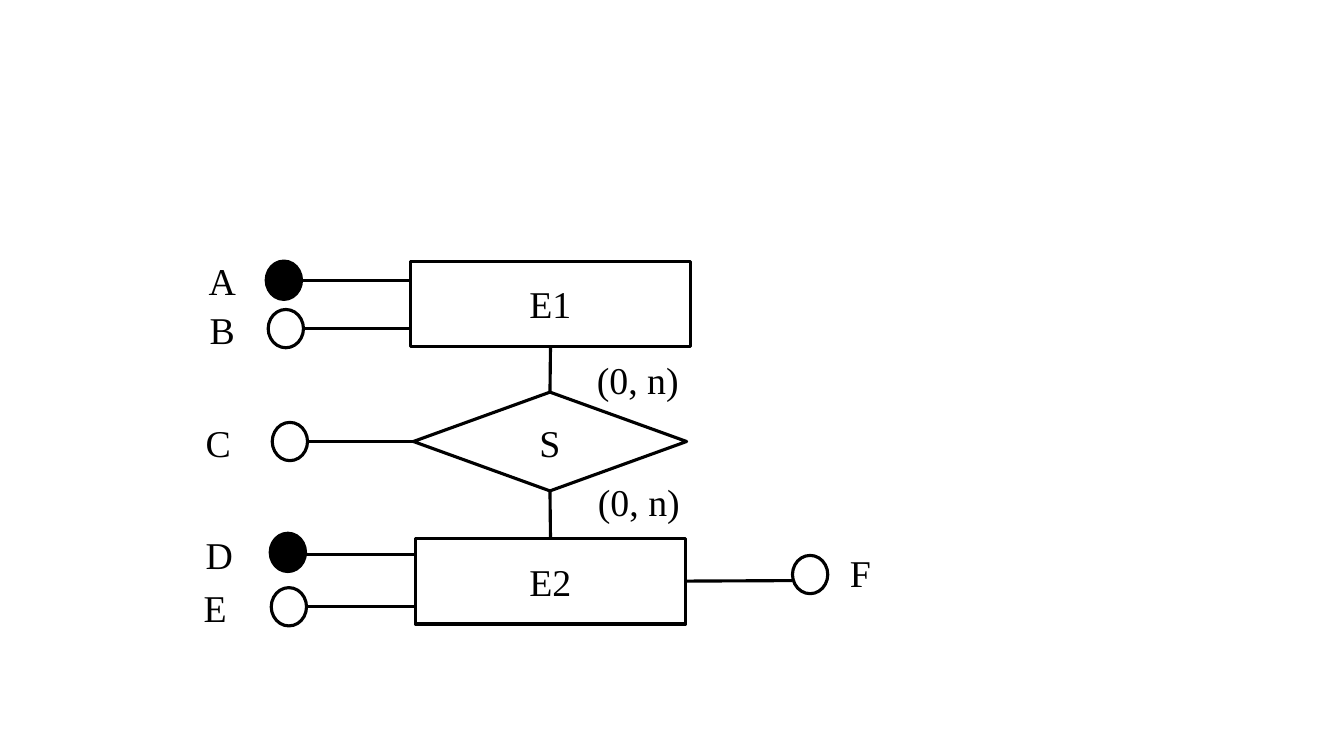
from dataclasses import dataclass

from lxml import etree
from pptx import Presentation
from pptx.dml.color import RGBColor
from pptx.enum.shapes import MSO_CONNECTOR, MSO_SHAPE
from pptx.enum.text import MSO_AUTO_SIZE
from pptx.oxml.ns import qn
from pptx.shapes.autoshape import Shape
from pptx.shapes.connector import Connector
from pptx.slide import Slide
from pptx.util import Inches, Pt

PROCESS = MSO_SHAPE.FLOWCHART_PROCESS
DECISION = MSO_SHAPE.FLOWCHART_DECISION
CIRCLE = MSO_SHAPE.FLOWCHART_CONNECTOR
STRAIGHT = MSO_CONNECTOR.STRAIGHT
FIT_SHAPE = MSO_AUTO_SIZE.SHAPE_TO_FIT_TEXT
TOP, LEFT, BOTTOM, RIGHT = range(4)

BLACK = "000000"
FONT = "Times New Roman"
CIRCLE_WIDTH, CIRCLE_HEIGHT = 0.35, 0.38
LABEL_HEIGHT = 0.57


@dataclass(frozen=True)
class Label:
    text: str
    left: float
    top: float
    width: float


@dataclass(frozen=True)
class Node:
    kind: MSO_SHAPE
    left: float
    top: float
    width: float
    height: float
    label: Label


@dataclass(frozen=True)
class Attribute:
    owner: str
    label: Label
    left: float
    top: float
    line_y: float
    is_key: bool = False
    side: int = LEFT
    at_middle: bool = False


NODES = [
    Node(DECISION, 4.1, 3.89, 2.71, 0.98, Label("S", 5.24, 4.1, 0.43)),
    Node(PROCESS, 4.07, 2.59, 2.78, 0.85, Label("E1", 5.14, 2.73, 0.64)),
    Node(PROCESS, 4.12, 5.34, 2.68, 0.85, Label("E2", 5.14, 5.48, 0.64)),
]
ATTRIBUTES = [
    Attribute("E1", Label("A", 1.96, 2.5, 0.5), 2.64, 2.59, 2.78, is_key=True),
    Attribute("E1", Label("B", 1.97, 2.98, 0.48), 2.66, 3.07, 3.26),
    Attribute("S", Label("C", 1.93, 4.1, 0.48), 2.7, 4.19, 4.38, at_middle=True),
    Attribute("E2", Label("D", 1.93, 5.22, 0.5), 2.68, 5.29, 5.5, is_key=True),
    Attribute("E2", Label("E", 1.91, 5.74, 0.46), 2.69, 5.83, 6.02),
    Attribute("E2", Label("F", 8.32, 5.39, 0.43), 7.86, 5.51, 5.76,
              side=RIGHT, at_middle=True),
]
CARDINALITIES = [
    Label("(0, n)", 5.81, 3.48, 1.04),
    Label("(0, n)", 5.82, 4.69, 1.04),
]
# Upper node, lower node
LINKS = [("E1", "S"), ("S", "E2")]


def color(value: str) -> RGBColor:
    return RGBColor.from_string(value)


def add_outline(page: Slide, kind: MSO_SHAPE, left: float, top: float,
                width: float, height: float, filled: bool = False) -> Shape:
    shape = page.shapes.add_shape(
        kind, Inches(left), Inches(top), Inches(width), Inches(height))
    shape.shadow.inherit = False
    if filled:
        shape.fill.solid()
        shape.fill.fore_color.rgb = color(BLACK)
    else:
        shape.fill.background()
    shape.line.color.rgb = color(BLACK)
    shape.line.width = Pt(2.25)
    return shape


def add_label(page: Slide, label: Label) -> None:
    box = page.shapes.add_textbox(
        Inches(label.left), Inches(label.top),
        Inches(label.width), Inches(LABEL_HEIGHT))
    frame = box.text_frame
    frame.word_wrap = False
    frame.auto_size = FIT_SHAPE
    frame.margin_left = frame.margin_right = Inches(0.11)
    frame.margin_top = frame.margin_bottom = Inches(0.06)
    span = frame.paragraphs[0].add_run()
    span.text = label.text
    span.font.name = FONT
    span.font.size = Pt(27)
    span.font.color.rgb = color(BLACK)


def add_line(page: Slide, x1: float, y1: float, x2: float, y2: float) -> Connector:
    line = page.shapes.add_connector(
        STRAIGHT, Inches(x1), Inches(y1), Inches(x2), Inches(y2))
    line.line.color.rgb = color(BLACK)
    line.line.width = Pt(2.25)
    etree.SubElement(line._element.spPr, qn("a:effectLst"))
    return line


def add_attribute(page: Slide, attribute: Attribute, node: Node, shape: Shape) -> None:
    add_outline(page, CIRCLE, attribute.left, attribute.top,
                CIRCLE_WIDTH, CIRCLE_HEIGHT, attribute.is_key)
    if attribute.side == LEFT:
        circle_x, node_x = attribute.left + CIRCLE_WIDTH, node.left
    else:
        circle_x, node_x = attribute.left, node.left + node.width
    line = add_line(page, circle_x, attribute.line_y, node_x, attribute.line_y)
    if attribute.at_middle:
        line.end_connect(shape, attribute.side)
    add_label(page, attribute.label)


def main() -> None:
    deck = Presentation()
    deck.slide_width, deck.slide_height = Inches(13.33), Inches(7.5)
    page = deck.slides.add_slide(deck.slide_layouts[6])

    # Entities and the relationship between them
    nodes = {node.label.text: node for node in NODES}
    shapes = {}
    for name, node in nodes.items():
        shapes[name] = add_outline(
            page, node.kind, node.left, node.top, node.width, node.height)
        add_label(page, node.label)

    # Vertical links with their cardinalities
    for upper, lower in LINKS:
        start, end = nodes[upper], nodes[lower]
        link = add_line(page, start.left + start.width / 2, start.top + start.height,
                        end.left + end.width / 2, end.top)
        link.begin_connect(shapes[upper], BOTTOM)
        link.end_connect(shapes[lower], TOP)
    for cardinality in CARDINALITIES:
        add_label(page, cardinality)

    # Attributes: filled circles mark keys
    for attribute in ATTRIBUTES:
        add_attribute(page, attribute, nodes[attribute.owner], shapes[attribute.owner])

    deck.save("out.pptx")


if __name__ == "__main__":
    main()
